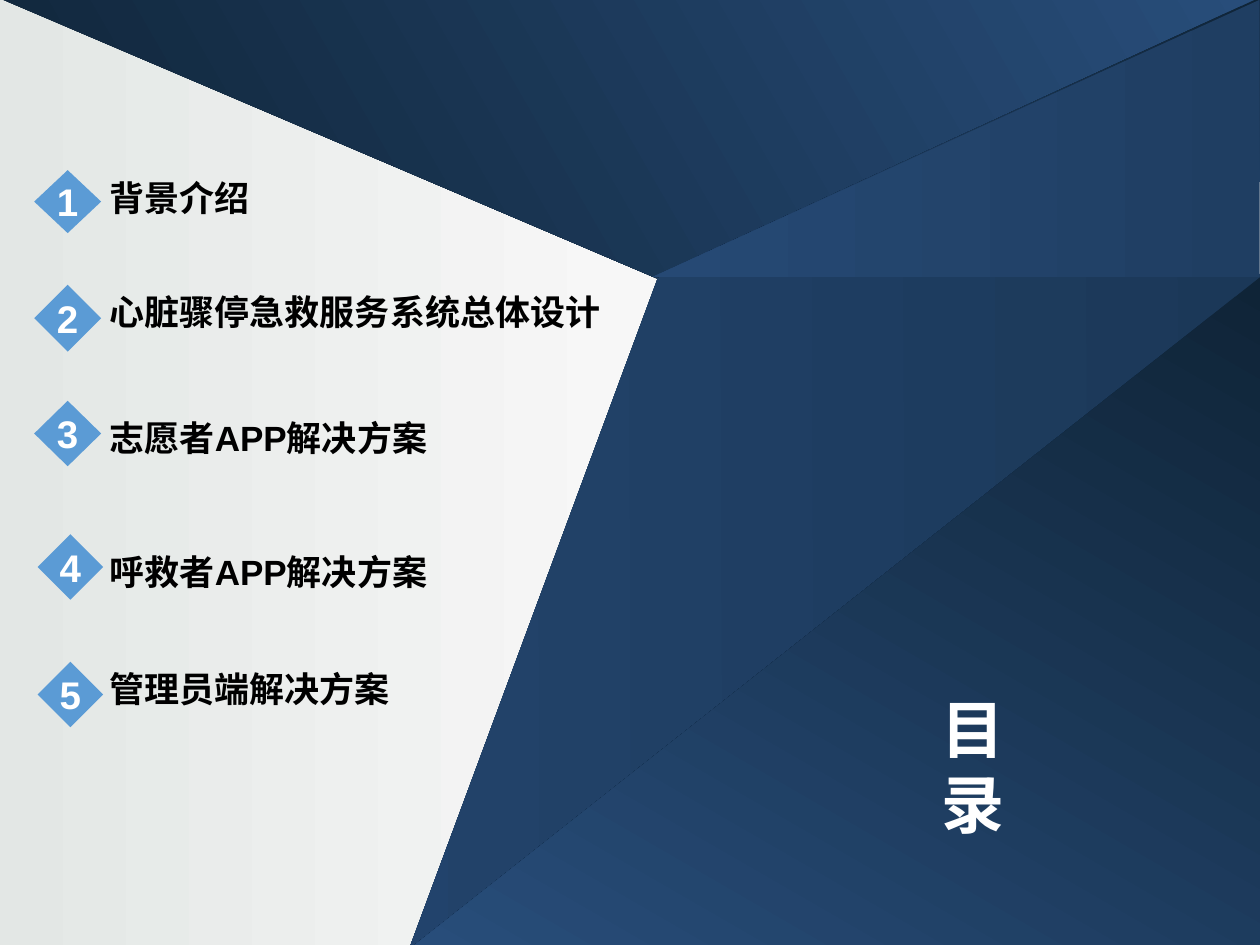
"""Build the contents slide: faceted backdrop, five numbered entries and a title."""
from copy import deepcopy

from lxml import etree
from pptx import Presentation
from pptx.dml.color import RGBColor
from pptx.enum import shapes, text
from pptx.oxml.ns import qn
from pptx.util import Cm, Pt

TITLE = ("目 录", (18.72, 13.79, 3.33, 1.78))
ENTRIES = [
    ("背景介绍", (0.69, 3.43, 1.35, 1.27), (3.43, 8.48, 0.89)),
    ("心脏骤停急救服务系统总体设计", (0.69, 5.74, 1.35, 1.35), (5.74, 14.33, 1.8)),
    ("志愿者APP解决方案", (0.69, 8.08, 1.35, 1.32), (8.28, 8.48, 0.89)),
    ("呼救者APP解决方案", (0.76, 10.77, 1.32, 1.32), (10.97, 7.42, 0.89)),
    ("管理员端解决方案", (0.76, 13.34, 1.32, 1.32), (13.34, 7.42, 0.89)),
]
LABEL_LEFT = 1.96

THEME = {
    "paper": ("E3E7E5", "F7F7F7", "E3E7E5"),
    "deep": ("0F2437", "284D7A"),
    "middle": ("1B3858", "244670"),
    "light": ("1F3E62", "264974"),
    "badge": "5B9BD5",
    "cjk": "Noto Sans CJK SC",
    "label": {"name": "Arial", "size": Pt(20), "bold": True, "color": "000000"},
    "number": {"name": "Arial", "size": Pt(22), "bold": True, "color": "FFFFFF"},
    "title": {"name": "Noto Sans CJK SC", "size": Pt(36), "bold": True, "color": "FFFFFF"},
}

KIND = shapes.MSO_SHAPE
FACETS = [
    {"kind": KIND.ISOSCELES_TRIANGLE, "box": (3.51, 5.51, 22.05, 7.65),
     "rotation": 321.8, "adjust": 0.567, "colors": "middle", "angle": 218},
    {"kind": KIND.RIGHT_TRIANGLE, "box": (8.36, 5.59, 17.04, 13.46),
     "rotation": 180, "flip": True, "colors": "deep", "angle": 60},
    {"kind": KIND.ISOSCELES_TRIANGLE, "box": (0, -0.03, 25.4, 5.64),
     "flip": True, "adjust": 0.521, "colors": "deep", "angle": 30},
    {"points": [(25.4, 3.66), (25.4, -0.05), (13.16, 5.59)],
     "colors": "deep", "angle": 90},
    {"kind": KIND.ISOSCELES_TRIANGLE, "box": (16.48, -3.33, 5.59, 12.24),
     "rotation": 270, "adjust": 0, "colors": "light", "angle": 270},
]


def cm(values):
    return [Cm(v) for v in values]


def paint_gradient(fill, colors, angle):
    fill.gradient()
    fill.gradient_angle = (360 - angle) % 360
    for stop, color, position in zip(fill.gradient_stops, colors, (0, 1)):
        stop.color.rgb = RGBColor.from_string(color)
        stop.position = position


def paint_background(s):
    first, middle, last = THEME["paper"]
    fill = s.background.fill
    paint_gradient(fill, (first, last), 180)
    stops = s.element.find(".//" + qn("a:gsLst"))
    stops.insert(1, deepcopy(stops[0]))
    fill.gradient_stops[1].position = 0.5
    fill.gradient_stops[1].color.rgb = RGBColor.from_string(middle)


def add_facet(s, facet):
    if "points" in facet:
        start, *rest = [cm(point) for point in facet["points"]]
        builder = s.shapes.build_freeform(*start)
        builder.add_line_segments(rest, close=True)
        sp = builder.convert_to_shape()
    else:
        sp = s.shapes.add_shape(facet["kind"], *cm(facet["box"]))
    sp.rotation = facet.get("rotation", 0)
    if "adjust" in facet:
        sp.adjustments[0] = facet["adjust"]
    if facet.get("flip"):
        sp.element.spPr.find(qn("a:xfrm")).set("flipV", "1")
    paint_gradient(sp.fill, THEME[facet["colors"]], facet["angle"])
    sp.line.fill.background()
    sp.shadow.inherit = False


def write(sp, words, style, frame, align=text.PP_ALIGN.LEFT):
    tf = sp.text_frame
    for name, value in frame.items():
        setattr(tf, name, value)
    p = tf.paragraphs[0]
    p.alignment = align
    r = p.add_run()
    r.text = words
    for name, value in THEME[style].items():
        if name == "color":
            r.font.color.rgb = RGBColor.from_string(value)
        else:
            setattr(r.font, name, value)
    etree.SubElement(r.font._element, qn("a:ea"), typeface=THEME["cjk"])


def add_entry(s, number, words, badge, label):
    top, width, height = label
    box = s.shapes.add_textbox(*cm((LABEL_LEFT, top, width, height)))
    write(box, words, "label", {"word_wrap": True})
    sp = s.shapes.add_shape(KIND.DIAMOND, *cm(badge))
    sp.fill.solid()
    sp.fill.fore_color.rgb = RGBColor.from_string(THEME["badge"])
    sp.line.fill.background()
    sp.shadow.inherit = False
    frame = {f"margin_{side}": 0 for side in ("left", "top", "right", "bottom")}
    frame |= {"word_wrap": False, "vertical_anchor": text.MSO_ANCHOR.MIDDLE}
    write(sp, str(number), "number", frame, text.PP_ALIGN.CENTER)


def place_title(s):
    words, box = TITLE
    sp = s.shapes.title
    for name, value in zip(("left", "top", "width", "height"), cm(box)):
        setattr(sp, name, value)
    write(sp, words, "title", {
        "word_wrap": False,
        "vertical_anchor": text.MSO_ANCHOR.TOP,
        "auto_size": text.MSO_AUTO_SIZE.SHAPE_TO_FIT_TEXT,
    })
    s.shapes.element.append(sp.element)


def main():
    prs = Presentation()
    prs.slide_width, prs.slide_height = cm((25.4, 19.05))
    s = prs.slides.add_slide(prs.slide_layouts[5])
    paint_background(s)
    for facet in FACETS:
        add_facet(s, facet)
    for number, entry in enumerate(ENTRIES, 1):
        add_entry(s, number, *entry)
    place_title(s)
    prs.save("out.pptx")


if __name__ == "__main__":
    main()
